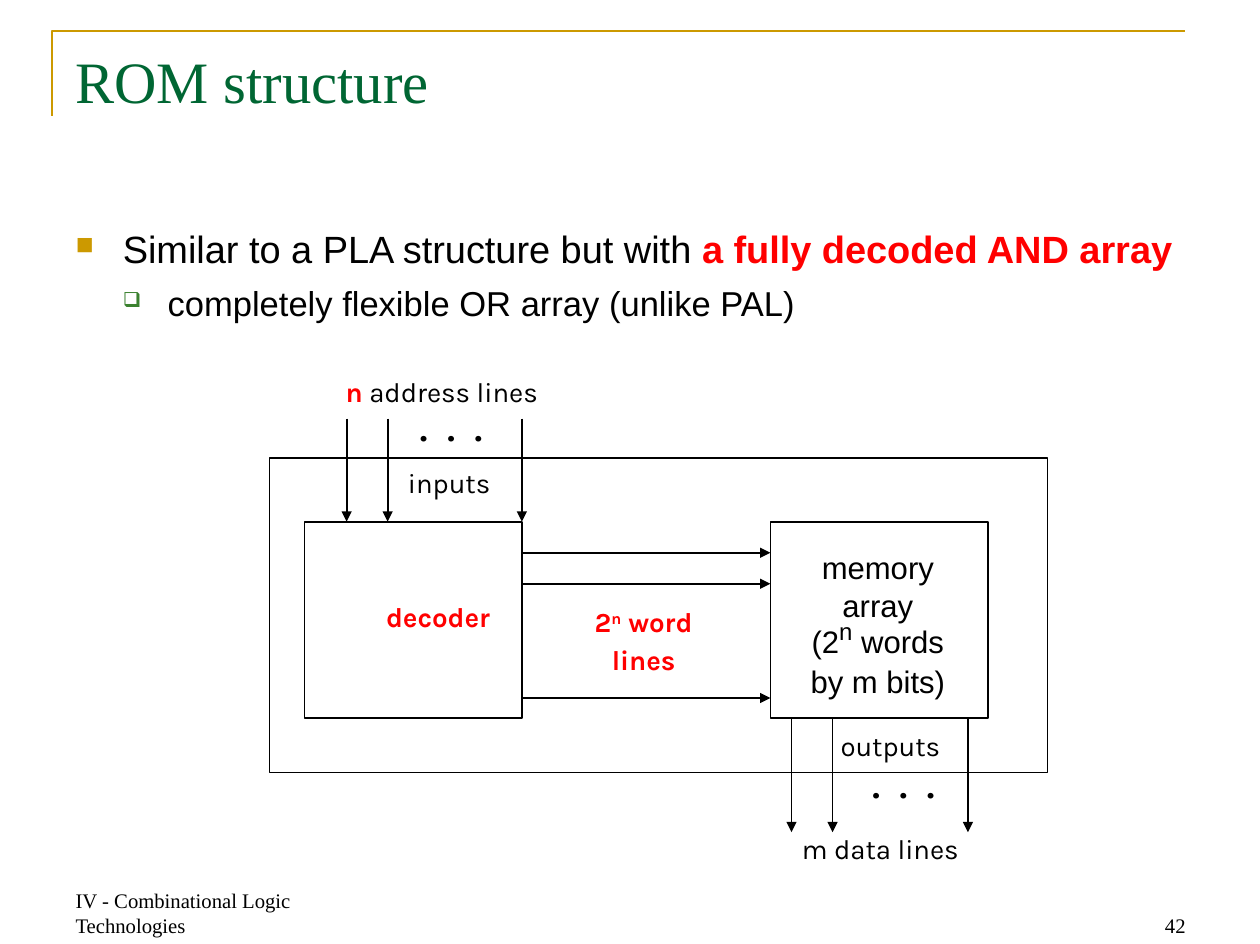
from lxml import etree
from pptx import Presentation
from pptx import util as u
from pptx.dml.color import RGBColor
from pptx.enum import shapes, text
from pptx.oxml.ns import qn

PX = 9144  # 100 px to the inch
SERIF, SANS, KARLA = "Times New Roman", "Arial", "Karla"
BLACK, RED, GREEN, GOLD = "000000", "FF0000", "006633", "CC9900"
CENTER, RIGHT = text.PP_ALIGN.CENTER, text.PP_ALIGN.RIGHT


def px(n):
    return u.Emu(n * PX)


def color(value):
    return RGBColor.from_string(value)


def child(parent, tag, **attributes):
    return etree.SubElement(parent, qn(tag), attributes)


class Deck:
    def __init__(self, width, height):
        self.prs = Presentation()
        self.prs.slide_width, self.prs.slide_height = px(width), px(height)
        self.slide = self.prs.slides.add_slide(self.prs.slide_layouts[6])

    def box(self, at, insets=(10, 5), anchor=text.MSO_ANCHOR.TOP, wrap=True):
        frame = self.slide.shapes.add_textbox(*map(px, at)).text_frame
        frame.margin_left = frame.margin_right = px(insets[0])
        frame.margin_top = frame.margin_bottom = px(insets[1])
        frame.vertical_anchor = anchor
        frame.word_wrap = wrap
        return frame

    def runs(self, paragraph, parts, size, font):
        """Each part is (words, colour) plus optional font settings."""
        for words, shade, *extra in parts:
            style = extra[0] if extra else {}
            for i, line in enumerate(words.split("\n")):
                if i:
                    paragraph.add_line_break()
                run = paragraph.add_run()
                run.text = line
                run.font.size = u.Pt(style.get("size", size))
                run.font.name = font
                run.font.bold = style.get("bold", False)
                run.font.color.rgb = color(shade)
                if "raised" in style:
                    run.font._element.set("baseline", str(style["raised"] * 1000))

    def plain(self, at, words, size, shade=BLACK, align=None, **frame_style):
        paragraph = self.box(at, **frame_style).paragraphs[0]
        paragraph.alignment = align
        self.runs(paragraph, [(words, shade)], size, SERIF)

    def label(self, at, *parts, size=16, font=KARLA):
        paragraph = self.box(at, (2, 3), wrap=False).paragraphs[0]
        paragraph.alignment = CENTER
        paragraph.line_spacing = u.Pt(22)
        self.runs(paragraph, parts, size, font)

    def dots(self, at, gap=22):
        paragraph = self.box(at, ((at[2] - 52) // 2, 3), wrap=False).paragraphs[0]
        paragraph.line_spacing = u.Pt(21)
        tabs = child(paragraph._p.get_or_add_pPr(), "a:tabLst")
        for stop in (gap, 2 * gap):
            child(tabs, "a:tab", pos=str(px(stop)), algn="l")
        self.runs(paragraph, [("•\t•\t•", BLACK)], 16, KARLA)

    def bullet(self, paragraph, mark, shade, percent, left, hang, parts, size):
        props = paragraph._p.get_or_add_pPr()
        props.set("marL", str(px(left)))
        props.set("indent", str(px(-hang)))
        child(child(props, "a:buClr"), "a:srgbClr", val=shade)
        child(props, "a:buSzPct", val=str(percent * 1000))
        child(props, "a:buChar", char=mark)
        self.runs(paragraph, parts, size, SANS)

    def outline(self, shape, shade=BLACK, weight=1):
        shape.shadow.inherit = False
        shape.fill.background()
        shape.line.color.rgb = color(shade)
        shape.line.width = u.Pt(weight)

    def rect(self, *at):
        self.outline(self.slide.shapes.add_shape(
            shapes.MSO_SHAPE.RECTANGLE, *map(px, at)))

    def path_line(self, points, shade, weight):
        builder = self.slide.shapes.build_freeform(*points[0], scale=PX)
        builder.add_line_segments(points[1:], close=False)
        self.outline(builder.convert_to_shape(), shade, weight)

    def arrow(self, *ends):
        line = self.slide.shapes.add_connector(
            shapes.MSO_CONNECTOR.STRAIGHT, *map(px, ends))
        line.line.color.rgb = color(BLACK)
        line.line.width = u.Pt(1)
        child(line.line._get_or_add_ln(), "a:tailEnd", type="triangle")
        child(line._element.spPr, "a:effectLst")


def main():
    deck = Deck(1014, 760)

    # Corner rule, footer and title
    deck.path_line([(42, 93), (42, 25), (954, 25)], GOLD, 1.5)
    bottom = text.MSO_ANCHOR.BOTTOM
    deck.plain((51, 709, 237, 51), "IV - Combinational Logic Technologies", 12,
               anchor=bottom)
    deck.plain((727, 709, 237, 51), "42", 12, align=RIGHT, anchor=bottom)
    deck.plain((51, 31, 912, 126), "ROM structure", 34, GREEN)

    # Bullets
    body = deck.box((51, 177, 912, 502))
    deck.bullet(body.paragraphs[0], "■", GOLD, 65, 38, 38, [
        ("Similar to a PLA structure but with ", BLACK),
        ("a fully decoded AND array", RED, {"bold": True})], 22)
    flexible = body.add_paragraph()
    flexible.space_before = u.Pt(6)
    deck.bullet(flexible, "❑", "3B812F", 60, 74, 36,
                [("completely flexible OR array (unlike PAL)", BLACK)], 20)

    # ROM frame with decoder and memory array
    block_top, block_w, block_h = 420, 175, 158
    decoder_x, memory_x = 245, 620
    block_bottom = block_top + block_h
    deck.rect(217, 369, 626, 253)
    for block_x in (decoder_x, memory_x):
        deck.rect(block_x, block_top, block_w, block_h)

    # Address lines in, data lines out
    for offset in (17, 50, 159):
        address_x, data_x = decoder_x + 25 + offset, memory_x + offset
        address_x -= 8 if offset < 159 else 9
        address_x += 8 if offset < 0 else 0
        deck.arrow(address_x, 337, address_x, block_top)
        deck.arrow(data_x + (offset > 100) * 0, block_bottom, data_x, 670)

    # Word lines between the blocks
    for word_y in (445, 470, 562):
        deck.arrow(decoder_x + block_w, word_y, memory_x, word_y)

    # Labels
    bold = {"bold": True}
    deck.label((245, 295, 221, 72), ("n", RED, bold), (" address lines", BLACK))
    deck.dots((316, 332, 96, 43))
    deck.label((311, 368, 101, 72), ("inputs", BLACK))
    deck.label((293, 476, 119, 62), ("decoder", RED, bold))
    deck.label((438, 480, 160, 103), ("2", RED, bold),
               ("n", RED, {"bold": True, "raised": 30}), (" word\nlines", RED, bold))
    deck.label((605, 438, 203, 103), ("memory\narray\n(2", BLACK),
               ("n", BLACK, {"size": 24, "raised": 30}),
               (" words\nby m bits)", BLACK), size=18, font=SANS)
    deck.label((652, 580, 129, 72), ("outputs", BLACK))
    deck.dots((669, 619, 119, 43))
    deck.label((598, 663, 221, 72), ("m data lines", BLACK))

    deck.prs.save("out.pptx")


if __name__ == "__main__":
    main()
